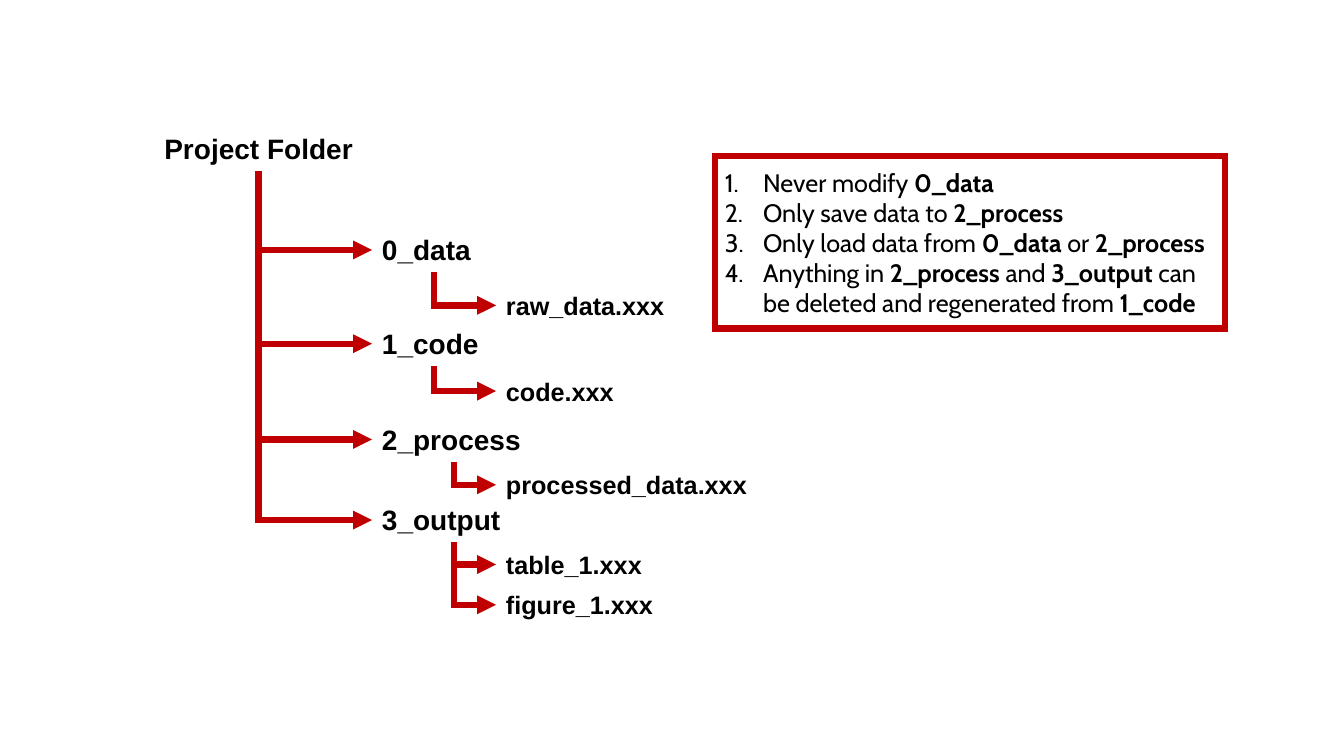
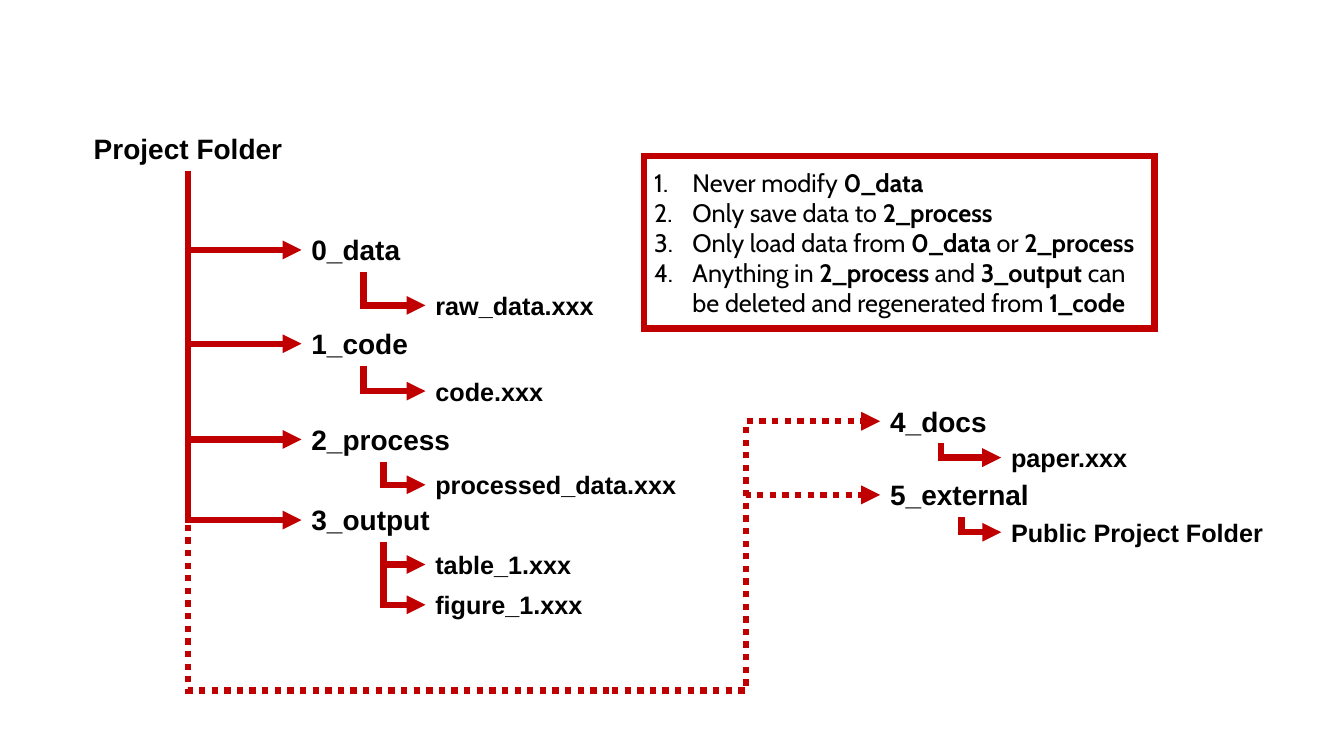
from lxml import etree
from pptx import Presentation
from pptx import util as u
from pptx.dml.color import RGBColor
from pptx.enum import dml, shapes, text
from pptx.oxml import ns

RED, BLACK, WHITE = "C00000", "000000", "FFFFFF"
FOLDER = {"name": "Arial", "size": u.Pt(20), "bold": True}
FILE = {"name": "Arial", "size": u.Pt(18), "bold": True}
RULE = {"name": "Cabin", "size": u.Pt(18)}
FOLDER_HEIGHT, FILE_HEIGHT = 0.44, 0.4
BOTTOM, LEFT = 2, 1

# Places are for the first slide; the second shifts them all to the left.
SHIFTS = [0, -0.7]
ROOT = ("Project Folder", 1.44, 1.26, 2.25)
FOLDER_LEFT, FILE_LEFT = 3.69, 4.92
# Folder name, top, width, then its files as (name, top)
FOLDERS = [
    ("0_data", 2.26, 1.23, [("raw_data.xxx", 2.83)]),
    ("1_code", 3.19, 1.23, [("code.xxx", 3.68)]),
    ("2_process", 4.14, 1.63, [("processed_data.xxx", 4.61)]),
    ("3_output", 4.94, 1.63, [("table_1.xxx", 5.4), ("figure_1.xxx", 5.8)]),
]
FILE_WIDTH = 2.76

EXTRA_LEFT, EXTRA_FILE_LEFT = 8.73, 9.93
EXTRA_FOLDERS = [
    ("4_docs", 3.96, 1.2, [("paper.xxx", 4.34)]),
    ("5_external", 4.69, 1.61, [("Public Project Folder", 5.08)]),
]
JUNCTION = (6.07, 6.85)

RULES_PLACE = (7.09, 1.55, 5.06, 1.71)
# Every second part between bars is bold.
RULES = [
    "Never modify |0_data",
    "Only save data to |2_process",
    "Only load data from |0_data |or |2_process",
    "Anything in |2_process |and |3_output |can be deleted and regenerated from |1_code",
]


def color(value):
    return RGBColor.from_string(value)


def add_element(parent, tag, **attributes):
    return etree.SubElement(parent, ns.qn(tag), attributes)


def set_font(span, style, **changes):
    for key, value in {**style, **changes}.items():
        setattr(span.font, key, value)
    span.font.color.rgb = color(BLACK)


def style_line(line, dotted=False):
    line.color.rgb = color(RED)
    line.width = u.Pt(4.5)
    if dotted:
        line.dash_style = dml.MSO_LINE.ROUND_DOT
    return add_element(line._get_or_add_ln(), "a:miter", lim="800000")


def add_label(page, label, left, top, width, height, style, align=text.PP_ALIGN.LEFT):
    box = page.shapes.add_textbox(*map(u.Inches, (left, top, width, height)))
    box.text_frame.word_wrap = True
    box.text_frame.auto_size = text.MSO_AUTO_SIZE.SHAPE_TO_FIT_TEXT
    para = box.text_frame.paragraphs[0]
    para.alignment = align
    span = para.add_run()
    span.text = label
    set_font(span, style)
    return box


def add_elbow(page, start=None, end=None, dotted=False):
    """Run from the bottom of start to the left of end; a missing one is the junction."""
    x, y = map(u.Inches, JUNCTION)
    elbow = page.shapes.add_connector(shapes.MSO_CONNECTOR.ELBOW, x, y, x, y)
    if start is not None:
        elbow.begin_connect(start, BOTTOM)
    if end is not None:
        elbow.end_connect(end, LEFT)
    if start is not None:
        make_single_bend(elbow)
    miter = style_line(elbow.line, dotted)
    if end is not None:
        add_element(miter.getparent(), "a:tailEnd", type="triangle")
    add_element(elbow._element.spPr, "a:effectLst")


def make_single_bend(elbow):
    """Go down, then right: a one-bend connector, mirrored and turned by 270 degrees."""
    x1, y1, x2, y2 = elbow.begin_x, elbow.begin_y, elbow.end_x, elbow.end_y
    across, down = x2 - x1, y2 - y1
    elbow.left, elbow.top = (x1 + x2 - down) // 2, (y1 + y2 - across) // 2
    elbow.width, elbow.height = down, across
    properties = elbow._element.spPr
    frame = properties.find(ns.qn("a:xfrm"))
    frame.attrib.pop("flipV", None)
    frame.set("rot", str(270 * 60000))
    frame.set("flipH", "1")
    properties.find(ns.qn("a:prstGeom")).set("prst", "bentConnector2")


def add_folders(page, folders, left, file_left):
    """Draw folders with arrows to their files; return the folder boxes."""
    boxes = []
    for name, top, width, files in folders:
        folder = add_label(page, name, left, top, width, FOLDER_HEIGHT, FOLDER)
        boxes.append(folder)
        for file_name, file_top in files:
            file = add_label(page, file_name, file_left, file_top,
                             FILE_WIDTH, FILE_HEIGHT, FILE)
            add_elbow(page, folder, file)
    return boxes


def add_rules(page, shift):
    left, top, width, height = RULES_PLACE
    box = page.shapes.add_shape(shapes.MSO_SHAPE.RECTANGLE,
                                *map(u.Inches, (left + shift, top, width, height)))
    box.shadow.inherit = False
    box.fill.solid()
    box.fill.fore_color.rgb = color(WHITE)
    style_line(box.line)
    frame = box.text_frame
    frame.word_wrap = True
    frame.vertical_anchor = text.MSO_ANCHOR.MIDDLE
    for index, rule in enumerate(RULES):
        para = frame.add_paragraph() if index else frame.paragraphs[0]
        para.alignment = text.PP_ALIGN.LEFT
        layout = para._p.get_or_add_pPr()
        indent = u.Inches(0.38)
        layout.set("marL", str(indent))
        layout.set("indent", str(-indent))
        add_element(layout, "a:buFont", typeface="+mj-lt")
        add_element(layout, "a:buAutoNum", type="arabicPeriod")
        for part_index, part in enumerate(rule.split("|")):
            span = para.add_run()
            span.text = part
            set_font(span, RULE, bold=part_index % 2 == 1)


def add_project(page, shift):
    """Draw the folder tree and the rules; return the root box."""
    name, left, top, width = ROOT
    root = add_label(page, name, left + shift, top, width, FOLDER_HEIGHT,
                     FOLDER, text.PP_ALIGN.CENTER)
    for folder in add_folders(page, FOLDERS, FOLDER_LEFT + shift, FILE_LEFT + shift):
        add_elbow(page, root, folder)
    add_rules(page, shift)
    return root


def add_extras(page, root):
    add_elbow(page, start=root, dotted=True)
    for folder in add_folders(page, EXTRA_FOLDERS, EXTRA_LEFT, EXTRA_FILE_LEFT):
        add_elbow(page, end=folder, dotted=True)


def main():
    deck = Presentation()
    deck.slide_width, deck.slide_height = u.Inches(13.33), u.Inches(7.5)
    pages = [deck.slides.add_slide(deck.slide_layouts[6]) for _ in SHIFTS]
    roots = [add_project(page, shift) for page, shift in zip(pages, SHIFTS)]
    add_extras(pages[-1], roots[-1])
    deck.save("out.pptx")


if __name__ == "__main__":
    main()
